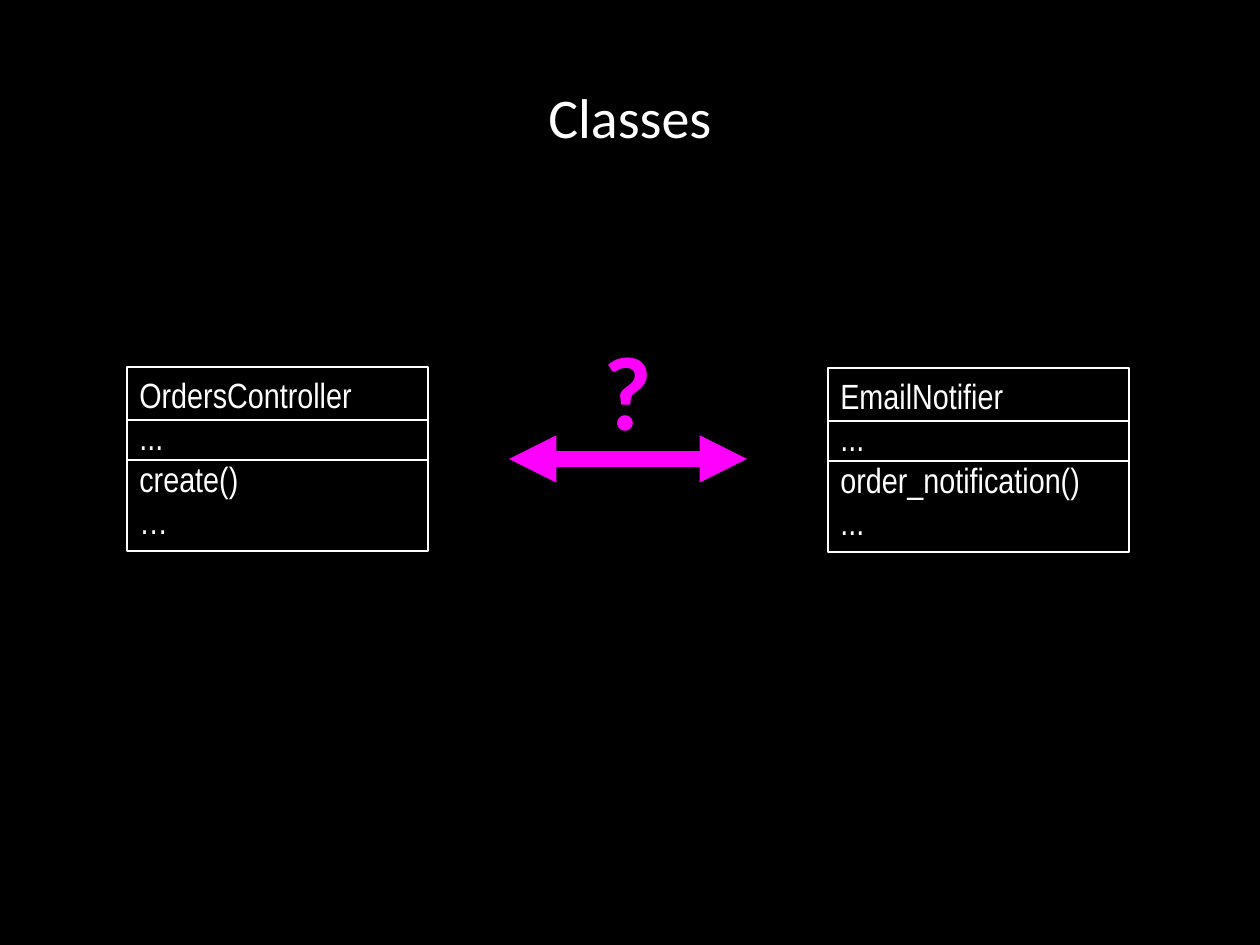
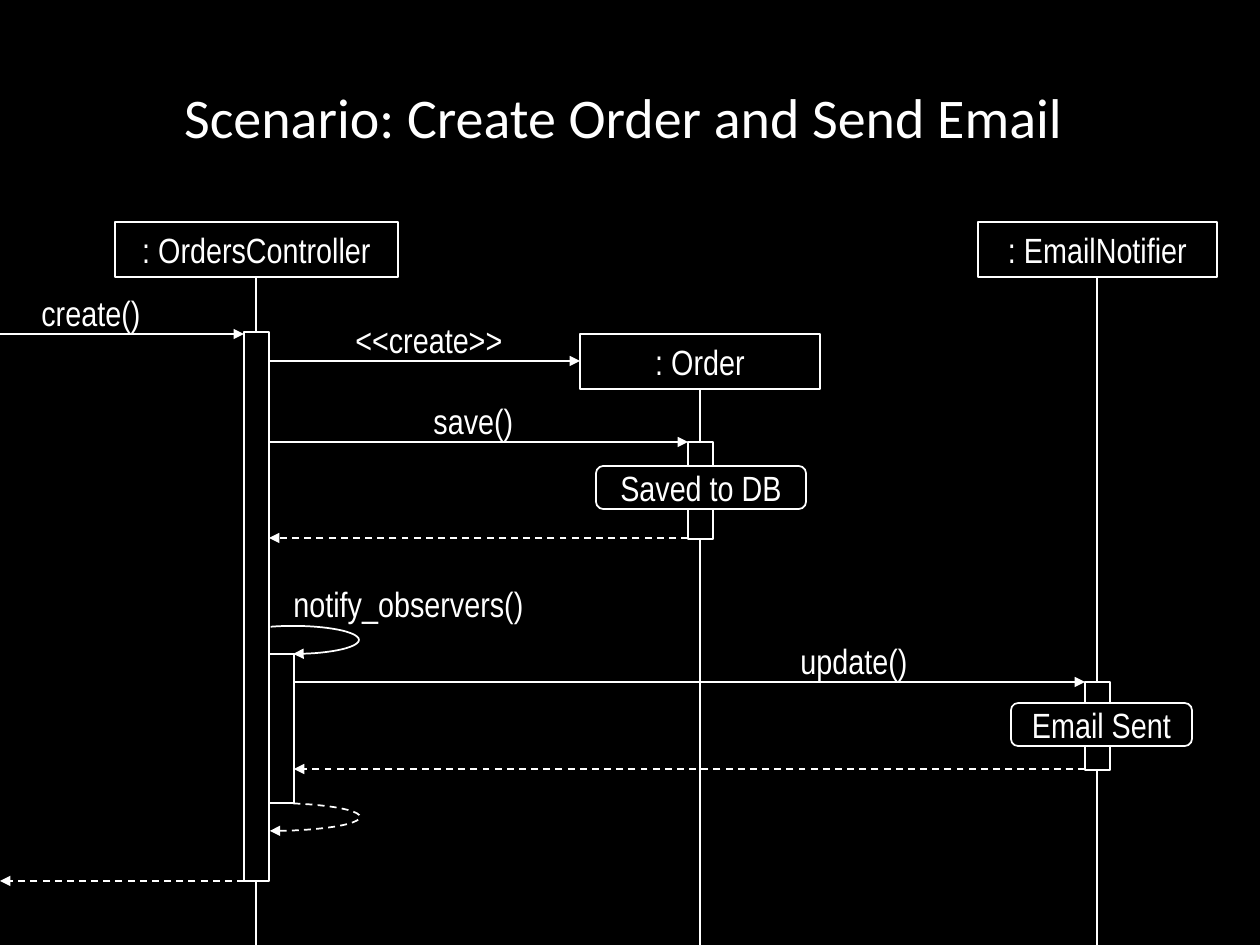
import pptx
import pptx.dml.color
import pptx.enum.dml
import pptx.enum.shapes
import pptx.enum.text
import pptx.oxml
import pptx.oxml.ns
import pptx.util

SHAPE = pptx.enum.shapes.MSO_SHAPE
ANCHOR = pptx.enum.text.MSO_ANCHOR
ALIGN = pptx.enum.text.PP_ALIGN
GROW = pptx.enum.text.MSO_AUTO_SIZE.SHAPE_TO_FIT_TEXT
DASH = pptx.enum.dml.MSO_LINE.DASH

PX = 914400 / 126
SLIDE = (1260, 945)
THEME = {
    "background": "000000",
    "ink": "FFFFFF",
    "accent": "FF00FF",
    "title": {"name": "Calibri", "size": 32},
    "diagram": {"name": "Arial Narrow", "size": 20},
    "question": {"name": "Calibri", "size": 60, "bold": True},
    "line": 1,
    "thick line": 9,
}
TITLE_BOX = (63, 38, 1134, 157)

# Classes: left, top, lines of text
CLASSES = [
    (127, 367, ["OrdersController", "...", "create()", "…"]),
    (828, 368, ["EmailNotifier", "...", "order_notification()", "..."]),
]
CLASS_SIZE = (301, 184)
CLASS_DIVIDERS = (53, 93)
QUESTION_BOX = (591, 319, 74, 140)
QUESTION_ARROW = (509, 459, 747, 459)

# Participants: left, top, width, name
PARTICIPANTS = {
    "controller": (115, 222, 283, ": OrdersController"),
    "order": (580, 334, 240, ": Order"),
    "notifier": (978, 222, 239, ": EmailNotifier"),
}
TEXT_HEIGHT = 55
# Activations: participant, nesting level, top, bottom
ACTIVATIONS = {
    "handling": ("controller", 0, 332, 881),
    "saving": ("order", 0, 442, 539),
    "notifying": ("controller", 1, 654, 803),
    "emailing": ("notifier", 0, 682, 770),
}
BAR_WIDTH = 25
# Messages: sender, receiver, y, is a reply
MESSAGES = [
    ("caller", "handling", 334, False),
    ("handling", "order", 361, False),
    ("handling", "saving", 442, False),
    ("saving", "handling", 538, True),
    ("notifying", "emailing", 682, False),
    ("emailing", "notifying", 769, True),
    ("handling", "caller", 881, True),
]
# Self messages: box, start and end angle adjustments, is a reply
SELF_MESSAGES = [
    ((227, 626, 132, 28), (126.28, 53.24), False),
    ((179, 803, 181, 28), (198.33, 53.24), True),
]
# Labels: left, width, y of the message below, text
LABELS = [
    (343, 174, 361, "<<create>>"),
    (421, 106, 442, "save()"),
    (281, 258, 625, "notify_observers()"),
    (788, 134, 682, "update()"),
    (29, 126, 334, "create()"),
]
LABEL_RISE = 49
NOTES = [((1011, 703, 181, 43), "Email Sent"), ((596, 466, 210, 43), "Saved to DB")]


def emu(*lengths):
    return [round(length * PX) for length in lengths]


def color(name):
    return pptx.dml.color.RGBColor.from_string(THEME[name])


def write(shape, lines, style, ink="ink", align=ALIGN.LEFT, **frame_format):
    frame = shape.text_frame
    for name, value in ({"word_wrap": True, "vertical_anchor": ANCHOR.TOP} | frame_format).items():
        setattr(frame, name, value)
    frame.text = "\n".join(lines)
    for paragraph in frame.paragraphs:
        paragraph.alignment = align
        for name, value in THEME[style].items():
            setattr(paragraph.font, name, pptx.util.Pt(value) if name == "size" else value)
        paragraph.font.color.rgb = color(ink)


def add_text(slide, box, text, style, **text_format):
    write(slide.shapes.add_textbox(*emu(*box)), [text], style, **text_format)


def draw_line(shape, ink="ink", width="line", dashed=False, ends=()):
    """Style an outline; ends holds any of "head" and "tail", in that order."""
    shape.line.color.rgb = color(ink)
    shape.line.width = pptx.util.Pt(THEME[width])
    if dashed:
        shape.line.dash_style = DASH
    outline = shape._element.xpath(".//a:ln")[0]
    for end in ends:
        arrowhead = pptx.oxml.parse_xml(
            f'<a:{end}End {pptx.oxml.ns.nsdecls("a")} type="triangle"/>')
        outline.append(arrowhead)


def add_line(slide, points, **line_format):
    connector = slide.shapes.add_connector(
        pptx.enum.shapes.MSO_CONNECTOR.STRAIGHT, *emu(*points))
    draw_line(connector, **line_format)
    no_effects = pptx.oxml.parse_xml(f'<a:effectLst {pptx.oxml.ns.nsdecls("a")}/>')
    connector._element.spPr.append(no_effects)


def add_box(slide, box, kind=SHAPE.RECTANGLE, filled=True, **line_format):
    shape = slide.shapes.add_shape(kind, *emu(*box))
    shape.shadow.inherit = False
    if filled:
        shape.fill.solid()
        shape.fill.fore_color.rgb = color("background")
    else:
        shape.fill.background()
    draw_line(shape, **line_format)
    return shape


def add_slide(deck, title):
    slide = deck.slides.add_slide(deck.slide_layouts[6])
    add_text(slide, TITLE_BOX, title, "title", align=ALIGN.CENTER,
             vertical_anchor=ANCHOR.MIDDLE)
    return slide


def build_classes(deck):
    slide = add_slide(deck, "Classes")
    width, height = CLASS_SIZE
    for left, top, members in CLASSES:
        write(add_box(slide, (left, top, width, height)), members, "diagram")
        for offset in CLASS_DIVIDERS:
            add_line(slide, (left, top + offset, left + width, top + offset))
    add_text(slide, QUESTION_BOX, "?", "question", ink="accent", auto_size=GROW)
    add_line(slide, QUESTION_ARROW, ink="accent", width="thick line", ends=("head", "tail"))


def build_scenario(deck):
    slide = add_slide(deck, "Scenario: Create Order and Send Email ")
    spans = {"caller": (0, 0)}
    centers = {}
    for key, (left, top, width, name) in PARTICIPANTS.items():
        box = add_box(slide, (left, top, width, TEXT_HEIGHT), filled=False)
        write(box, [name], "diagram", align=ALIGN.CENTER, auto_size=GROW)
        spans[key] = (left, left + width)
        centers[key] = left + width // 2
        add_line(slide, (centers[key], top + TEXT_HEIGHT, centers[key], SLIDE[1]))

    for key, (participant, level, top, bottom) in ACTIVATIONS.items():
        left = centers[participant] - BAR_WIDTH // 2 + level * BAR_WIDTH
        add_box(slide, (left, top, BAR_WIDTH, bottom - top))
        spans[key] = (left, left + BAR_WIDTH)

    for sender, receiver, y, reply in MESSAGES:
        start, end = spans[sender], spans[receiver]
        if start < end:
            points = (start[1], y, end[0], y)
        else:
            points = (start[0], y, end[1], y)
        add_line(slide, points, dashed=reply, ends=("tail",))

    for box, angles, reply in SELF_MESSAGES:
        arc = add_box(slide, box, SHAPE.ARC, filled=False, dashed=reply, ends=("tail",))
        for index, angle in enumerate(angles):
            arc.adjustments[index] = angle

    for left, width, y, text in LABELS:
        add_text(slide, (left, y - LABEL_RISE, width, TEXT_HEIGHT), text, "diagram",
                 word_wrap=False, auto_size=GROW)
    for box, text in NOTES:
        write(add_box(slide, box, SHAPE.ROUNDED_RECTANGLE), [text], "diagram",
              align=ALIGN.CENTER, vertical_anchor=ANCHOR.MIDDLE)


def main():
    deck = pptx.Presentation()
    deck.slide_width, deck.slide_height = emu(*SLIDE)
    backdrop = deck.slide_master.background.fill
    backdrop.solid()
    backdrop.fore_color.rgb = color("background")
    build_classes(deck)
    build_scenario(deck)
    deck.save("out.pptx")


if __name__ == "__main__":
    main()
